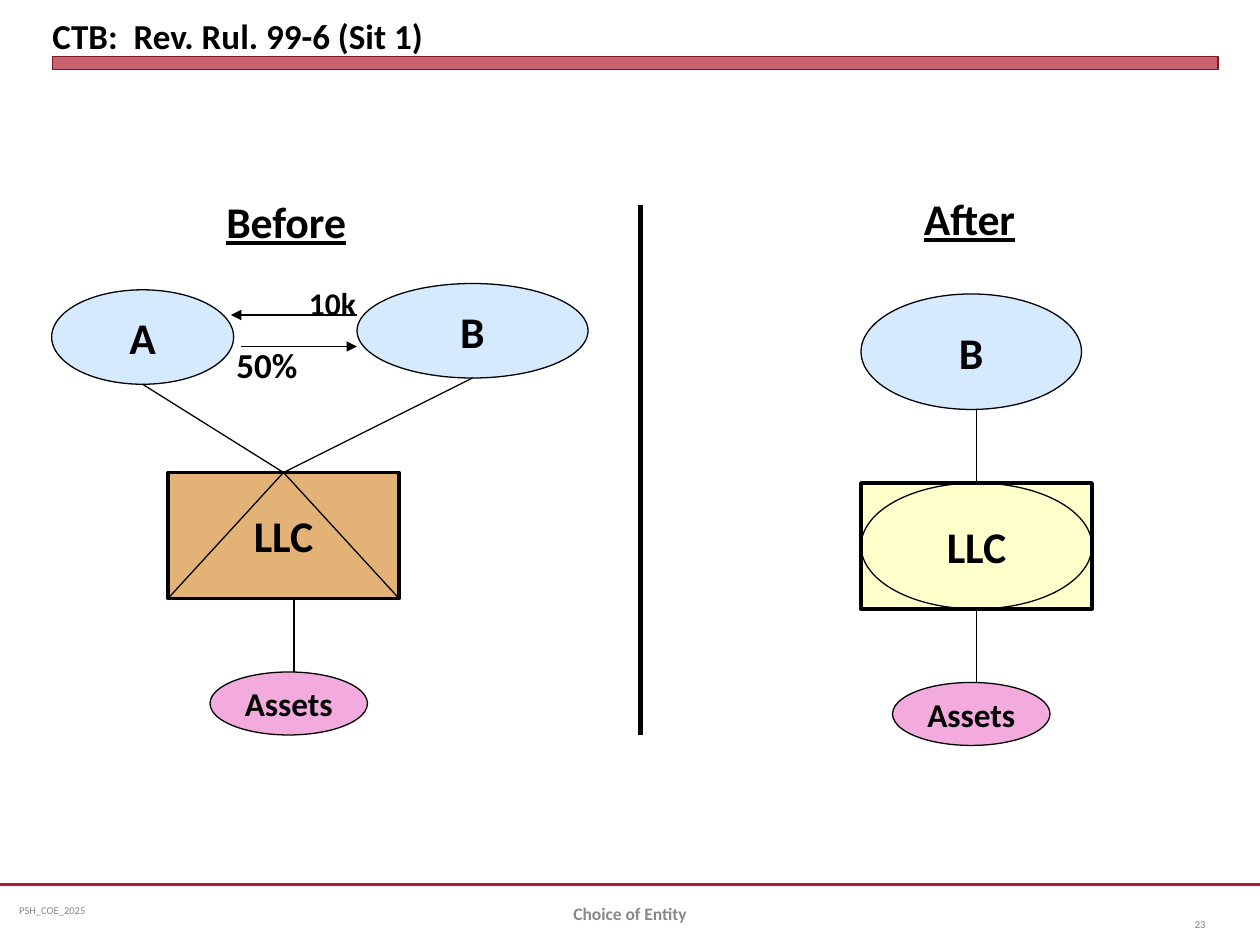
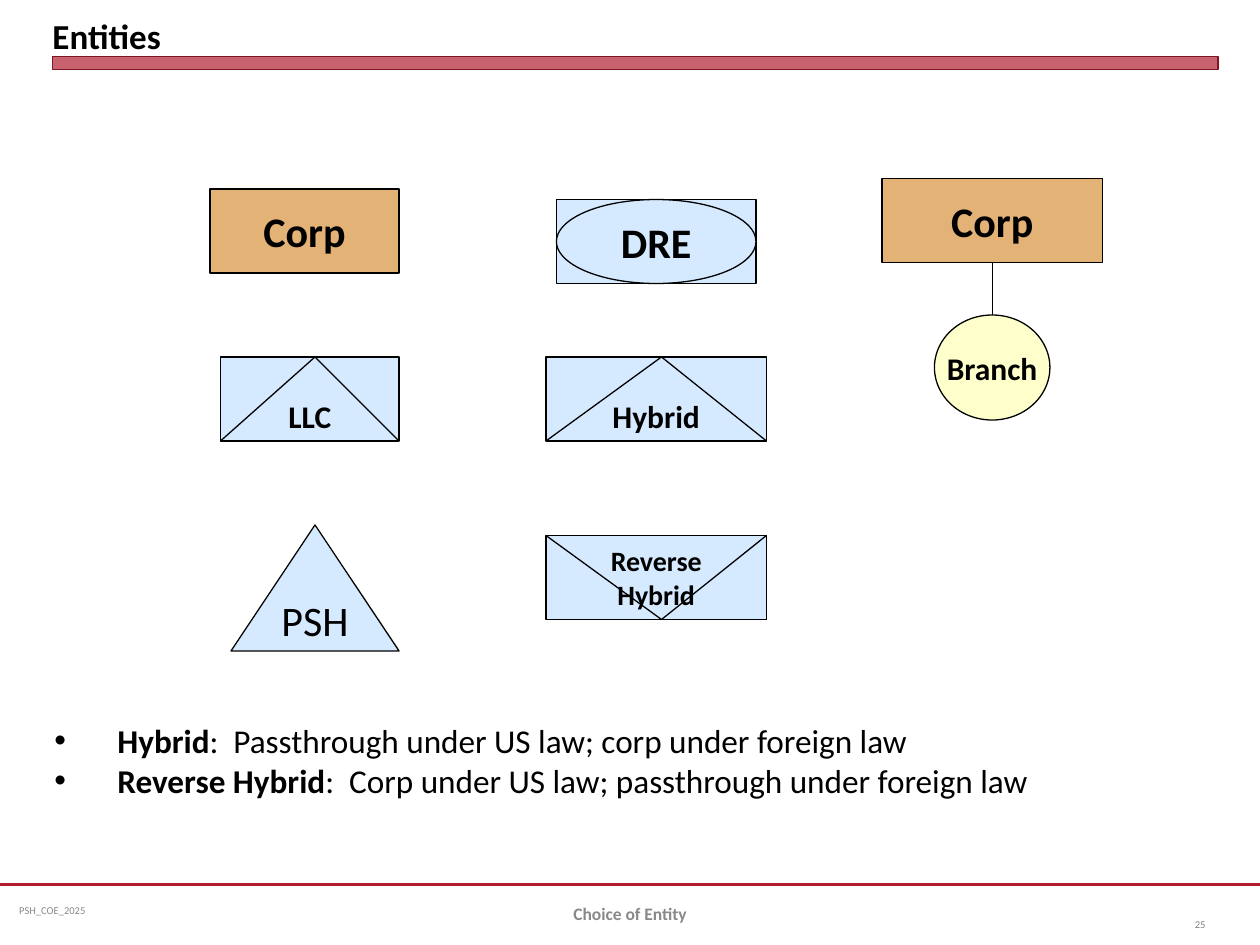
from lxml.etree import SubElement
from pptx import Presentation
from pptx.dml.color import RGBColor
from pptx.enum.shapes import MSO_CONNECTOR, MSO_SHAPE
from pptx.enum.text import MSO_ANCHOR, PP_ALIGN
from pptx.oxml.ns import qn
from pptx.util import Pt

FONT = "Calibri"
COLORS = {
    "ink": "000000",
    "rule": "B01C2E",
    "band_edge": "821522",
    "footer": "898989",
    "number": "808080",
    "blue": "D6EAFF",
    "orange": "E3B276",
    "yellow": "FFFFCC",
    "pink": "F3ABDE",
}
TOP, BOTTOM = 0, 2
RECTANGLE, OVAL, TRIANGLE = MSO_SHAPE.RECTANGLE, MSO_SHAPE.OVAL, MSO_SHAPE.ISOSCELES_TRIANGLE


def rgb(name):
    return RGBColor.from_string(COLORS[name])


def add_span(para, text, size, bold=True, color="ink", underline=False):
    span = para.add_run()
    span.text = text
    span.font.name = FONT
    span.font.size = Pt(size)
    span.font.bold = bold
    span.font.color.rgb = rgb(color)
    if underline:
        span.font.underline = True


def write_lines(frame, text, size, align=PP_ALIGN.CENTER, anchor=MSO_ANCHOR.MIDDLE, **style):
    """Fill a text frame with one paragraph for each line of the text."""
    frame.vertical_anchor = anchor
    for index, line in enumerate(text.split("\n")):
        para = frame.add_paragraph() if index else frame.paragraphs[0]
        para.alignment = align
        add_span(para, line, size, **style)


def add_label(page, area, text, size, wrap=True, margins=(7.2, 3.6), **style):
    box = page.shapes.add_textbox(*map(Pt, area))
    frame = box.text_frame
    frame.word_wrap = wrap
    frame.margin_left = frame.margin_right = Pt(margins[0])
    frame.margin_top = frame.margin_bottom = Pt(margins[1])
    write_lines(frame, text, size, **style)


def add_figure(page, kind, area, fill=None, text="", size=25, weight=0.75, edge="ink", **style):
    figure = page.shapes.add_shape(kind, *map(Pt, area))
    figure.shadow.inherit = False
    if fill:
        figure.fill.solid()
        figure.fill.fore_color.rgb = rgb(fill)
    else:
        figure.fill.background()
    figure.line.color.rgb = rgb(edge)
    figure.line.width = Pt(weight)
    if text:
        figure.text_frame.word_wrap = False
        write_lines(figure.text_frame, text, size, **style)
    return figure


def add_line(page, begin, end, weight=0.75, color="ink", arrow=False, begin_at=None, end_at=None):
    """Draw a straight line; begin_at and end_at are (shape, side) joints."""
    line = page.shapes.add_connector(MSO_CONNECTOR.STRAIGHT, *map(Pt, begin + end))
    line.line.color.rgb = rgb(color)
    line.line.width = Pt(weight)
    properties = line._element.spPr
    if arrow:
        SubElement(properties.find(qn("a:ln")), qn("a:tailEnd"), type="triangle")
    SubElement(properties, qn("a:effectLst"))
    if begin_at:
        line.begin_connect(*begin_at)
    if end_at:
        line.end_connect(*end_at)


def add_wedge(page, apex, *corners):
    for corner in corners:
        add_line(page, apex, corner)


def add_bullets(page, area, items, size):
    box = page.shapes.add_textbox(*map(Pt, area))
    frame = box.text_frame
    frame.word_wrap = True
    for index, (term, meaning) in enumerate(items):
        para = frame.add_paragraph() if index else frame.paragraphs[0]
        layout = para._p.get_or_add_pPr()
        layout.set("marL", str(Pt(36)))
        layout.set("indent", str(-Pt(36)))
        SubElement(layout, qn("a:buFont"), typeface="Arial")
        SubElement(layout, qn("a:buChar"), char="•")
        add_span(para, term, size)
        add_span(para, meaning, size, bold=False)


def add_page(deck, title, number):
    """Add a blank page with the shared title, band and footer."""
    page = deck.slides.add_slide(deck.slide_layouts[6])
    add_line(page, (0, 505.5), (720, 505.5), weight=1.25, color="rule")
    add_label(page, (6, 505.5, 186, 29), "PSH_COE_2025", 6, margins=(5, 3),
              align=PP_ALIGN.LEFT, bold=False, color="footer")
    band = add_figure(page, RECTANGLE, (30, 32.4, 666, 7.2), "rule", weight=0, edge="band_edge")
    tint = band._element.spPr.find(qn("a:solidFill"))[0]
    SubElement(tint, qn("a:alpha"), val="69000")
    add_label(page, (30, 3.6, 666, 28.8), title, 20, margins=(0, 0),
              align=PP_ALIGN.LEFT, anchor=MSO_ANCHOR.BOTTOM)
    add_label(page, (660, 513.6, 36, 29), str(number), 6,
              align=PP_ALIGN.RIGHT, bold=False, color="number")
    add_label(page, (246, 507.6, 228, 29), "Choice of Entity", 10, color="footer")
    return page


def draw_before(page):
    add_label(page, (121, 108, 85, 37), "Before", 25, wrap=False, underline=True)
    add_figure(page, OVAL, (29.5, 165.6, 104, 54), "blue", "A")
    add_figure(page, OVAL, (204, 162, 132, 54), "blue", "B")
    add_line(page, (204, 180), (132, 180), arrow=True)
    add_line(page, (138, 198), (204, 198), arrow=True)
    add_label(page, (166, 156, 48, 34), "10k", 18, wrap=False)
    add_label(page, (125.5, 192, 54, 32), "50%", 20, wrap=False)
    llc_area = (96, 270, 132, 72)
    llc = add_figure(page, RECTANGLE, llc_area, "orange", "LLC", weight=2)
    add_figure(page, TRIANGLE, llc_area)
    for owner in ((81.5, 219.6), (270, 216)):
        add_line(page, owner, (162, 270), end_at=(llc, TOP))
    add_line(page, (168, 342), (168, 384))
    add_figure(page, OVAL, (120, 384, 90, 36), "pink", "Assets", 19)


def draw_after(page):
    add_label(page, (520, 106, 68, 37), "After", 25, wrap=False, underline=True)
    add_figure(page, OVAL, (492, 168, 126, 66), "blue", "B")
    llc_area = (492, 276, 132, 72)
    llc = add_figure(page, RECTANGLE, llc_area, "yellow", "LLC", weight=2)
    add_figure(page, OVAL, llc_area)
    add_line(page, (558, 234), (558, 276), end_at=(llc, TOP))
    add_line(page, (558, 348), (558, 390), begin_at=(llc, BOTTOM))
    add_figure(page, OVAL, (510, 390, 90, 36), "pink", "Assets", 19)


def draw_entities(page):
    low = MSO_ANCHOR.BOTTOM
    add_figure(page, RECTANGLE, (120, 108, 108, 48), "orange", "Corp", 24)
    add_figure(page, RECTANGLE, (126, 204, 102, 48), "blue", "LLC", 18, anchor=low)
    add_wedge(page, (180, 204), (126, 252), (228, 252))
    add_figure(page, TRIANGLE, (132, 300, 96, 72), "blue", "PSH", 24, bold=False)

    dre_area = (318, 114, 114, 48)
    add_figure(page, RECTANGLE, dre_area, "blue")
    add_figure(page, OVAL, dre_area, "blue", "DRE", 24)
    add_figure(page, RECTANGLE, (312, 204, 126, 48), "blue", "Hybrid", 18, anchor=low)
    add_wedge(page, (378, 204), (312, 252), (438, 252))
    add_figure(page, RECTANGLE, (312, 306, 126, 48), "blue", "Reverse\nHybrid", 16)
    add_wedge(page, (378, 354), (312, 306), (438, 306))

    corp = add_figure(page, RECTANGLE, (504, 102, 126, 48), "orange", "Corp", 24)
    add_figure(page, OVAL, (534, 180, 66, 60), "yellow", "Branch", 18)
    add_line(page, (567, 180), (567, 150), end_at=(corp, BOTTOM))


def main():
    deck = Presentation()
    deck.slide_width, deck.slide_height = Pt(720), Pt(540)

    ruling = add_page(deck, "CTB:  Rev. Rul. 99-6 (Sit 1)", 23)
    draw_before(ruling)
    add_line(ruling, (366, 117), (366, 420), weight=2.5)
    draw_after(ruling)

    entities = add_page(deck, "Entities", 25)
    draw_entities(entities)
    add_bullets(entities, (24, 408, 672, 53), [
        ("Hybrid", ":  Passthrough under US law; corp under foreign law"),
        ("Reverse Hybrid", ":  Corp under US law; passthrough under foreign law"),
    ], 19)

    deck.save("out.pptx")


if __name__ == "__main__":
    main()
